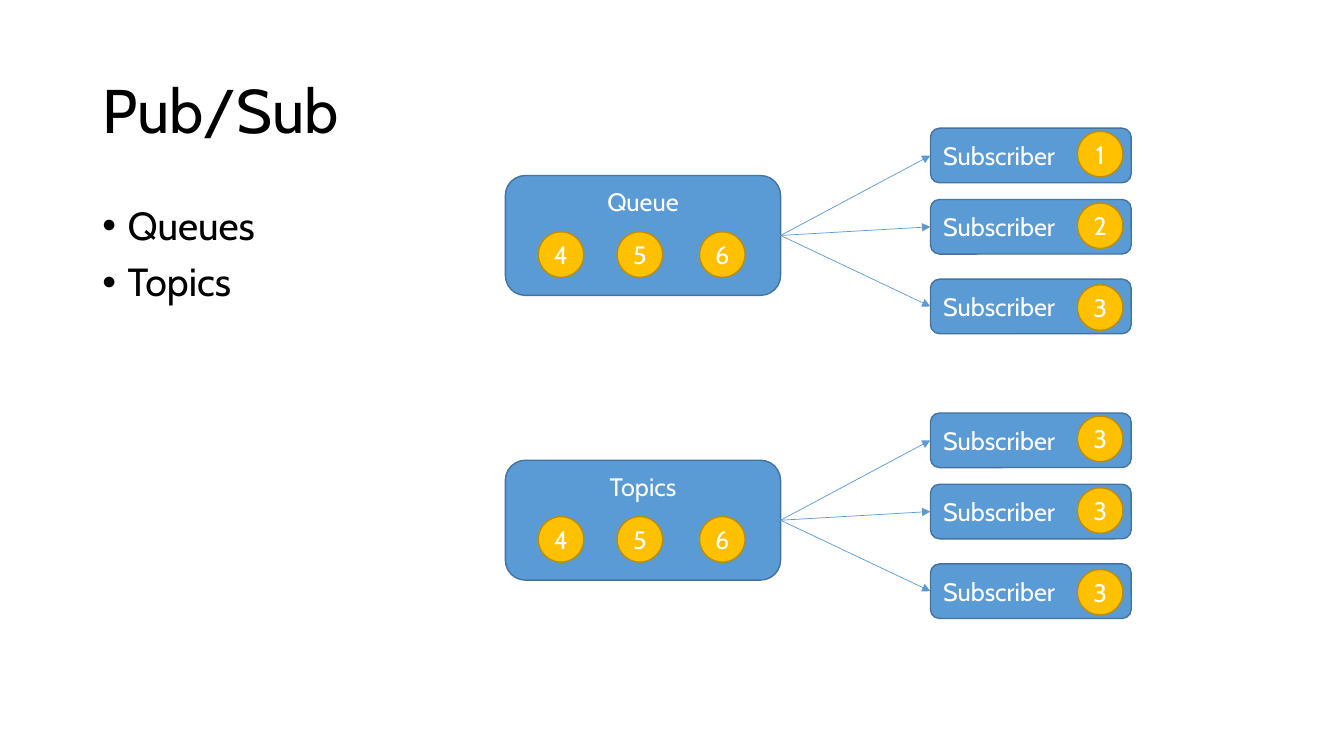
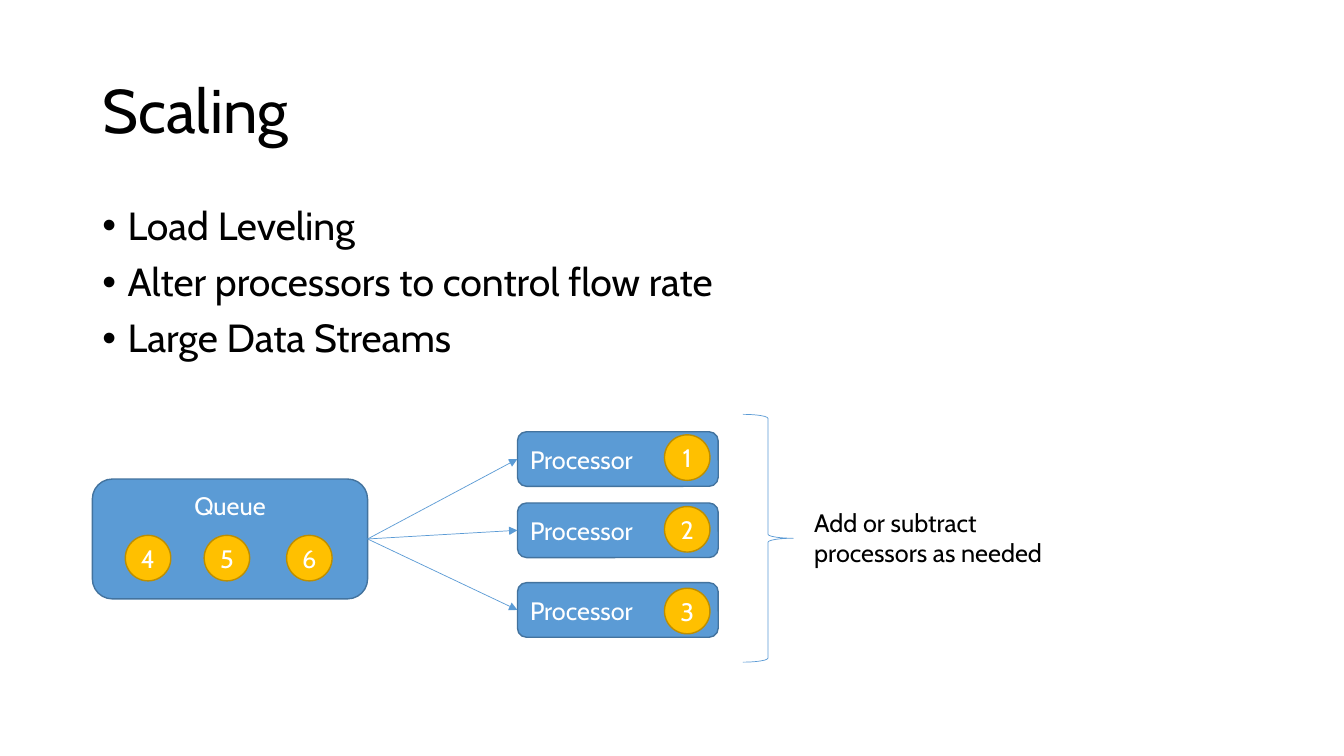
from lxml import etree
from pptx import Presentation
from pptx.dml.color import RGBColor
from pptx.enum.shapes import MSO_CONNECTOR, MSO_SHAPE
from pptx.enum.text import MSO_ANCHOR, MSO_AUTO_SIZE, PP_ALIGN
from pptx.oxml.ns import qn
from pptx.util import Pt

ROUNDED = MSO_SHAPE.ROUNDED_RECTANGLE
OVAL = MSO_SHAPE.OVAL
BRACE = MSO_SHAPE.RIGHT_BRACE
STRAIGHT = MSO_CONNECTOR.STRAIGHT
TOP, MIDDLE = MSO_ANCHOR.TOP, MSO_ANCHOR.MIDDLE
LEFT, CENTER = PP_ALIGN.LEFT, PP_ALIGN.CENTER
NO_AUTOFIT = MSO_AUTO_SIZE.NONE

FONT = "Cabin"
BLACK, WHITE = "000000", "FFFFFF"
BLUE, BLUE_EDGE = "5B9BD5", "43739E"
GOLD, GOLD_EDGE = "FFC000", "BD8E00"

MARGIN = 66
CONTENT_WIDTH = 828
QUEUE_SIZE = (196.6, 85.6)
RECEIVER_SIZE = (143.4, 39)
RECEIVER_LEFT = 303.6
RECEIVER_TOPS = (-33.8, 17.1, 74)
TOKEN_SIZE = (32.5, 32.5)
TOKEN_LEFT = 105
TOKEN_TOPS = (2.2, 2.5, 4)
WAITING = {"4": 23.5, "5": 79.8, "6": 138.7}
WAITING_TOP = 40.2


def color(value):
    return RGBColor.from_string(value)


def apply(target, values):
    for name, value in values.items():
        setattr(target, name, value)


class Deck:
    def __init__(self):
        self.presentation = Presentation()
        self.presentation.slide_width = Pt(960)
        self.presentation.slide_height = Pt(540)
        self.slide = None

    def set_text(self, shape, lines, size=18, text_color=WHITE, align=LEFT,
                 anchor=MIDDLE, bullets=False, **spacing):
        frame = shape.text_frame
        apply(frame, {"word_wrap": True, "auto_size": NO_AUTOFIT,
                      "vertical_anchor": anchor})
        for index, line in enumerate(lines):
            paragraph = frame.add_paragraph() if index else frame.paragraphs[0]
            apply(paragraph, {"alignment": align, **spacing})
            if index == 0:
                paragraph.space_before = Pt(0)
            if bullets:
                self.bullet(paragraph)
            run = paragraph.add_run()
            run.text = line
            apply(run.font, {"name": FONT, "size": Pt(size)})
            run.font.color.rgb = color(text_color)

    def bullet(self, paragraph):
        properties = paragraph._p.get_or_add_pPr()
        properties.set("marL", str(Pt(18)))
        properties.set("indent", str(-Pt(18)))
        etree.SubElement(properties, qn("a:buFont")).set("typeface", "Arial")
        etree.SubElement(properties, qn("a:buChar")).set("char", "•")

    def place(self, shape, left, top, width, height):
        apply(shape, {"left": Pt(left), "top": Pt(top),
                      "width": Pt(width), "height": Pt(height)})

    def add_slide(self, title, items, title_width=CONTENT_WIDTH,
                  body_width=CONTENT_WIDTH):
        layout = self.presentation.slide_layouts[1]
        self.slide = self.presentation.slides.add_slide(layout)
        heading, body = self.slide.placeholders
        self.place(heading, MARGIN, 28.8, title_width, 104.4)
        self.set_text(heading, [title], 44, BLACK, line_spacing=0.9)
        self.place(body, MARGIN, 143.8, body_width, 342.6)
        self.set_text(body, items, 28, BLACK, anchor=TOP, bullets=True,
                      line_spacing=0.9, space_before=Pt(10))

    def shape(self, kind, left, top, size, fill, edge, line_width=1):
        shape = self.slide.shapes.add_shape(
            kind, Pt(left), Pt(top), *map(Pt, size))
        shape.shadow.inherit = False
        if fill:
            shape.fill.solid()
            shape.fill.fore_color.rgb = color(fill)
        else:
            shape.fill.background()
        shape.line.color.rgb = color(edge)
        shape.line.width = Pt(line_width)
        return shape

    def box(self, label, left, top, size, **text_format):
        shape = self.shape(ROUNDED, left, top, size, BLUE, BLUE_EDGE)
        self.set_text(shape, [label], **text_format)
        return shape

    def token(self, label, left, top):
        shape = self.shape(OVAL, left, top, TOKEN_SIZE, GOLD, GOLD_EDGE)
        apply(shape.text_frame, dict.fromkeys(
            ("margin_left", "margin_top", "margin_right", "margin_bottom"), 0))
        self.set_text(shape, [label], align=CENTER)

    def arrow(self, source, target):
        connector = self.slide.shapes.add_connector(STRAIGHT, 0, 0, 0, 0)
        connector.begin_connect(source, 3)
        connector.end_connect(target, 1)
        connector.line.color.rgb = color(BLUE)
        connector.line.width = Pt(0.5)
        properties = connector._element.spPr
        line = properties.find(qn("a:ln"))
        etree.SubElement(line, qn("a:tailEnd")).set("type", "triangle")
        etree.SubElement(properties, qn("a:effectLst"))

    def fan_out(self, left, top, source_label, receiver_label, delivered):
        source = self.box(source_label, left, top, QUEUE_SIZE,
                          align=CENTER, anchor=TOP)
        receiver_left = left + RECEIVER_LEFT
        for label, offset, inset in zip(delivered, RECEIVER_TOPS, TOKEN_TOPS):
            receiver_top = top + offset
            receiver = self.box(receiver_label, receiver_left, receiver_top,
                                RECEIVER_SIZE)
            self.arrow(source, receiver)
            self.token(label, receiver_left + TOKEN_LEFT, receiver_top + inset)
        for label, offset in WAITING.items():
            self.token(label, left + offset, top + WAITING_TOP)

    def brace(self, left, top, size):
        shape = self.shape(BRACE, left, top, size, None, BLUE, 0.5)
        shape.adjustments[0] = 0.08
        shape.adjustments[1] = 0.5

    def note(self, lines, left, top, width, height):
        shape = self.slide.shapes.add_textbox(
            Pt(left), Pt(top), Pt(width), Pt(height))
        self.set_text(shape, lines, text_color=BLACK, anchor=TOP)


def main():
    deck = Deck()
    deck.add_slide("Pub/Sub", ["Queues", "Topics"], 384.5, 229.7)
    deck.fan_out(361, 125.4, "Queue", "Subscriber", "123")
    deck.fan_out(361, 328.8, "Topics", "Subscriber", "333")

    deck.add_slide("Scaling", ["Load Leveling",
                               "Alter processors to control flow rate",
                               "Large Data Streams"])
    deck.fan_out(MARGIN, 342.2, "Queue", "Processor", "123")
    deck.brace(530.6, 296, (36, 177))
    deck.note(["Add or subtract", "processors as needed"],
              574.5, 358.6, 185.8, 51)
    deck.presentation.save("out.pptx")


if __name__ == "__main__":
    main()
